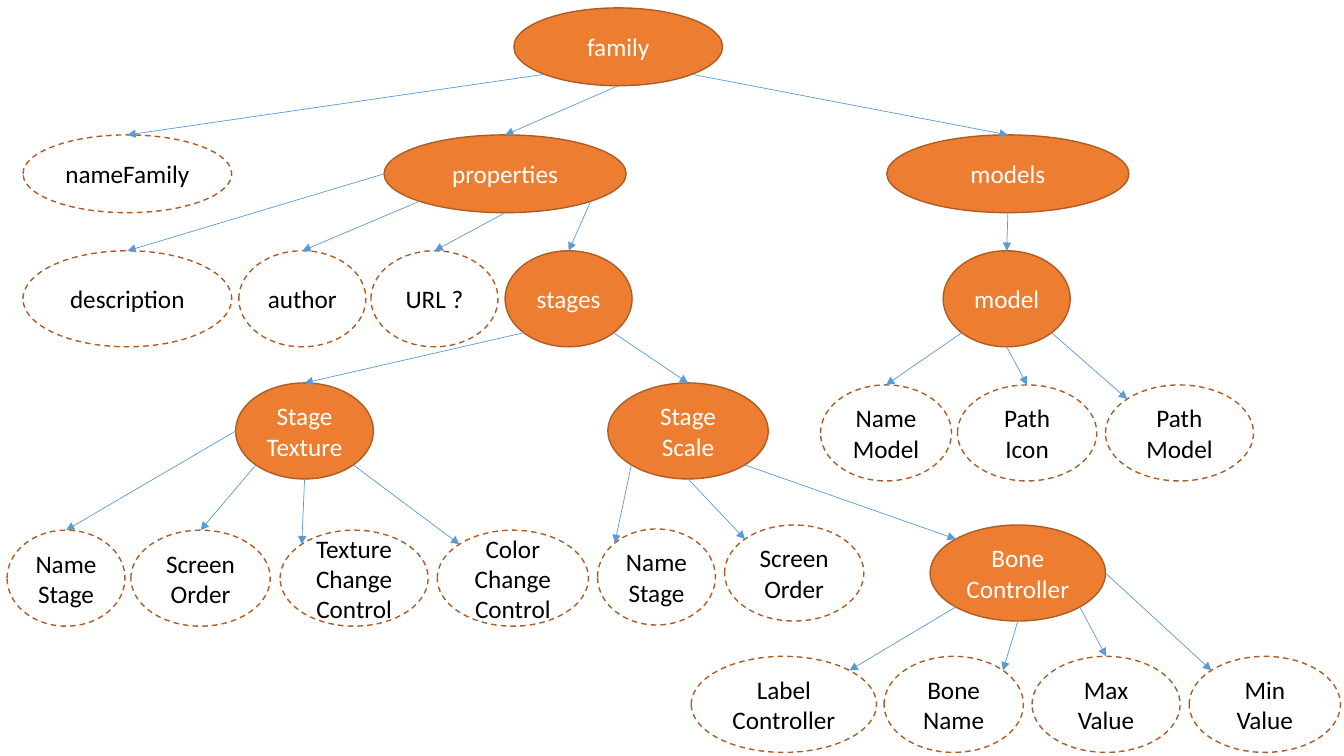
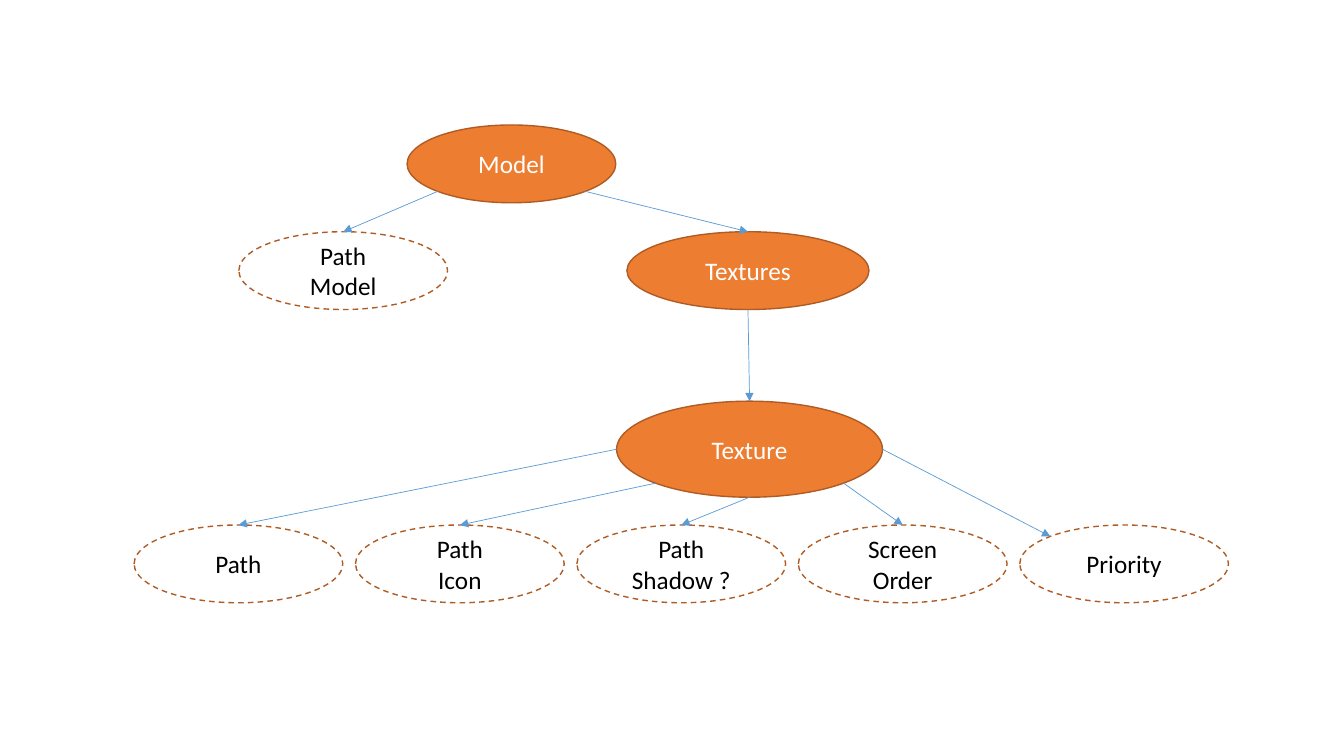
from dataclasses import dataclass
from math import sqrt

from lxml import etree
from pptx import Presentation
from pptx.dml.color import RGBColor
from pptx.enum.dml import MSO_LINE
from pptx.enum.shapes import MSO_CONNECTOR, MSO_SHAPE
from pptx.enum.text import MSO_ANCHOR, PP_ALIGN
from pptx.oxml.ns import qn
from pptx.util import Cm, Pt

ELLIPSE = MSO_SHAPE.OVAL
STRAIGHT = MSO_CONNECTOR.STRAIGHT
DASH = MSO_LINE.DASH
MIDDLE = MSO_ANCHOR.MIDDLE
CENTER = PP_ALIGN.CENTER

FONT = "Calibri"
TEXT_SIZE = 18
BRANCH_FILL, OUTLINE, ARROW = "ED7D31", "AF5C24", "5B9BD5"
BRANCH_TEXT, LEAF_TEXT = "FFFFFF", "000000"

# Connection sites of an ellipse, numbered counter-clockwise from the top
TOP, TOP_LEFT, LEFT, BOTTOM_LEFT, BOTTOM, BOTTOM_RIGHT, RIGHT, TOP_RIGHT = range(8)
DIAGONAL = sqrt(0.5)
SITE_DIRECTIONS = [
    (0, -1), (-DIAGONAL, -DIAGONAL), (-1, 0), (-DIAGONAL, DIAGONAL),
    (0, 1), (DIAGONAL, DIAGONAL), (1, 0), (DIAGONAL, -DIAGONAL),
]

# Heights and recurring widths of the ellipses, in centimetres
LOW, TALL = 1.96, 2.42
ROUND, NARROW, MEDIUM, BROAD, BROADER, WIDE, WIDEST = 3.2, 2.97, 3.51, 3.73, 3.81, 5.26, 6.1


@dataclass
class Node:
    """An element of the tree; a node without children is a leaf."""
    text: str
    left: float
    top: float
    width: float
    height: float
    leaves_from: int = BOTTOM
    arrives_at: int = TOP
    children: tuple = ()


def color(hex_string):
    """Turn a hex string into a colour."""
    return RGBColor.from_string(hex_string)


def draw_ellipse(slide, node, left, top):
    """Draw a node as a filled branch or a dashed leaf, offset by left and top."""
    shape = slide.shapes.add_shape(
        ELLIPSE, Cm(left + node.left), Cm(top + node.top), Cm(node.width), Cm(node.height))
    shape.shadow.inherit = False
    shape.line.color.rgb = color(OUTLINE)
    shape.line.width = Pt(1)
    if node.children:
        shape.fill.solid()
        shape.fill.fore_color.rgb = color(BRANCH_FILL)
    else:
        shape.fill.background()
        shape.line.dash_style = DASH
    frame = shape.text_frame
    frame.word_wrap = False
    frame.vertical_anchor = MIDDLE
    for index, line in enumerate(node.text.split("\n")):
        paragraph = frame.add_paragraph() if index else frame.paragraphs[0]
        paragraph.alignment = CENTER
        run = paragraph.add_run()
        run.text = line
        run.font.name = FONT
        run.font.size = Pt(TEXT_SIZE)
        run.font.color.rgb = color(BRANCH_TEXT if node.children else LEAF_TEXT)
    return shape


def site_position(shape, site):
    """Return the point of a connection site on an ellipse."""
    across, down = SITE_DIRECTIONS[site]
    return (round(shape.left + shape.width * (1 + across) / 2),
            round(shape.top + shape.height * (1 + down) / 2))


def draw_arrow(slide, parent, child, start_site, end_site):
    """Join two ellipses with an arrow attached to their connection sites."""
    connector = slide.shapes.add_connector(
        STRAIGHT, *site_position(parent, start_site), *site_position(child, end_site))
    connector.line.color.rgb = color(ARROW)
    connector.line.width = Pt(0.5)
    etree.SubElement(connector.line._get_or_add_ln(), qn("a:tailEnd"), type="triangle")
    etree.SubElement(connector._element.spPr, qn("a:effectLst"))
    attachments = connector._element.nvCxnSpPr.cNvCxnSpPr
    for tag, shape, site in (("a:stCxn", parent, start_site), ("a:endCxn", child, end_site)):
        etree.SubElement(attachments, qn(tag), id=str(shape.shape_id), idx=str(site))


def draw_tree(slide, node, left, top):
    """Draw a node and all below it in the box that starts at left and top."""
    shape = draw_ellipse(slide, node, left, top)
    for child in node.children:
        child_shape = draw_tree(slide, child, left, top)
        draw_arrow(slide, shape, child_shape, child.leaves_from, child.arrives_at)
    return shape


def family_tree():
    """Describe the family with its properties, stages and models."""
    controller_top, stage_top, model_top = 16.54, 13.36, 9.7
    bone_controller = Node("Bone\nController", 23.44, 13.23, 4.42, TALL, BOTTOM_RIGHT, TOP_LEFT, (
        Node("Label\nController", 17.42, controller_top, 4.67, TALL, BOTTOM_LEFT, TOP_RIGHT),
        Node("Bone\nName", 22.28, controller_top, MEDIUM, TALL, BOTTOM, TOP_RIGHT),
        Node("Max\nValue", 26.01, controller_top, BROAD, TALL, BOTTOM_RIGHT),
        Node("Min\nValue", 29.97, controller_top, BROADER, TALL, RIGHT, TOP_LEFT),
    ))
    stage_texture = Node("Stage\nTexture", 5.94, 9.65, 3.47, TALL, BOTTOM_LEFT, TOP, (
        Node("Name\nStage", 0.18, stage_top, NARROW, TALL, LEFT),
        Node("Screen\nOrder", 3.3, stage_top, MEDIUM, TALL, BOTTOM_LEFT),
        Node("Texture\nChange\nControl", 7.06, stage_top, BROAD, TALL, BOTTOM, TOP_LEFT),
        Node("Color\nChange\nControl", 11.02, stage_top, BROADER, TALL, BOTTOM_RIGHT, TOP_LEFT),
    ))
    stage_scale = Node("Stage\nScale", 15.32, 9.65, 4.04, TALL, BOTTOM_RIGHT, TOP, (
        Node("Name\nStage", 15.06, 13.33, NARROW, TALL, BOTTOM_LEFT, TOP_LEFT),
        Node("Screen\nOrder", 18.26, 13.23, MEDIUM, TALL, BOTTOM, TOP_LEFT),
        bone_controller,
    ))
    row_top, detail_top = 3.4, 6.32
    properties = Node("properties", 9.68, row_top, WIDEST, LOW, BOTTOM, TOP, (
        Node("description", 0.58, detail_top, WIDE, TALL, LEFT),
        Node("author", 6.02, detail_top, ROUND, TALL, BOTTOM_LEFT),
        Node("URL ?", 9.35, detail_top, ROUND, TALL, BOTTOM),
        Node("stages", 12.73, detail_top, ROUND, TALL, BOTTOM_RIGHT, TOP,
             (stage_texture, stage_scale)),
    ))
    model = Node("model", 23.77, detail_top, ROUND, TALL, BOTTOM, TOP, (
        Node("Name\nModel", 20.68, model_top, 3.3, TALL, BOTTOM_LEFT),
        Node("Path\nIcon", 24.13, model_top, MEDIUM, TALL, BOTTOM),
        Node("Path\nModel", 27.86, model_top, BROAD, TALL, BOTTOM_RIGHT, TOP_LEFT),
    ))
    models = Node("models", 22.35, row_top, WIDEST, LOW, BOTTOM_RIGHT, TOP, (model,))
    name_family = Node("nameFamily", 0.58, row_top, WIDE, LOW, BOTTOM_LEFT)
    return Node("family", 12.95, 0.2, WIDE, LOW, children=(name_family, properties, models))


def model_tree():
    """Describe the model with its textures; the leaves stand at equal steps."""
    leaf_step, leaf_top, row_top = 5.58, 10.08, 2.69
    leaves = [
        ("Path", LEFT, TOP),
        ("Path\nIcon", BOTTOM_LEFT, TOP),
        ("Path\nShadow ?", BOTTOM, TOP),
        ("Screen\nOrder", BOTTOM_RIGHT, TOP),
        ("Priority", RIGHT, TOP_LEFT),
    ]
    texture = Node("Texture", 12.16, 6.96, 6.7, TALL, children=tuple(
        Node(text, index * leaf_step, leaf_top, WIDE, LOW, start_site, end_site)
        for index, (text, start_site, end_site) in enumerate(leaves)))
    textures = Node("Textures", 12.42, row_top, WIDEST, LOW, BOTTOM_RIGHT, TOP, (texture,))
    path_model = Node("Path\nModel", 2.64, row_top, WIDE, LOW, BOTTOM_LEFT)
    return Node("Model", 6.88, 0, WIDE, LOW, children=(path_model, textures))


def main():
    """Build the presentation, one tree to a slide."""
    presentation = Presentation()
    presentation.slide_width, presentation.slide_height = Cm(33.87), Cm(19.05)
    blank_layout = presentation.slide_layouts[6]
    for tree, left, top in ((family_tree(), 0, 0), (model_tree(), 3.38, 3.15)):
        slide = presentation.slides.add_slide(blank_layout)
        draw_tree(slide, tree, left, top)
    presentation.save("out.pptx")


main()
